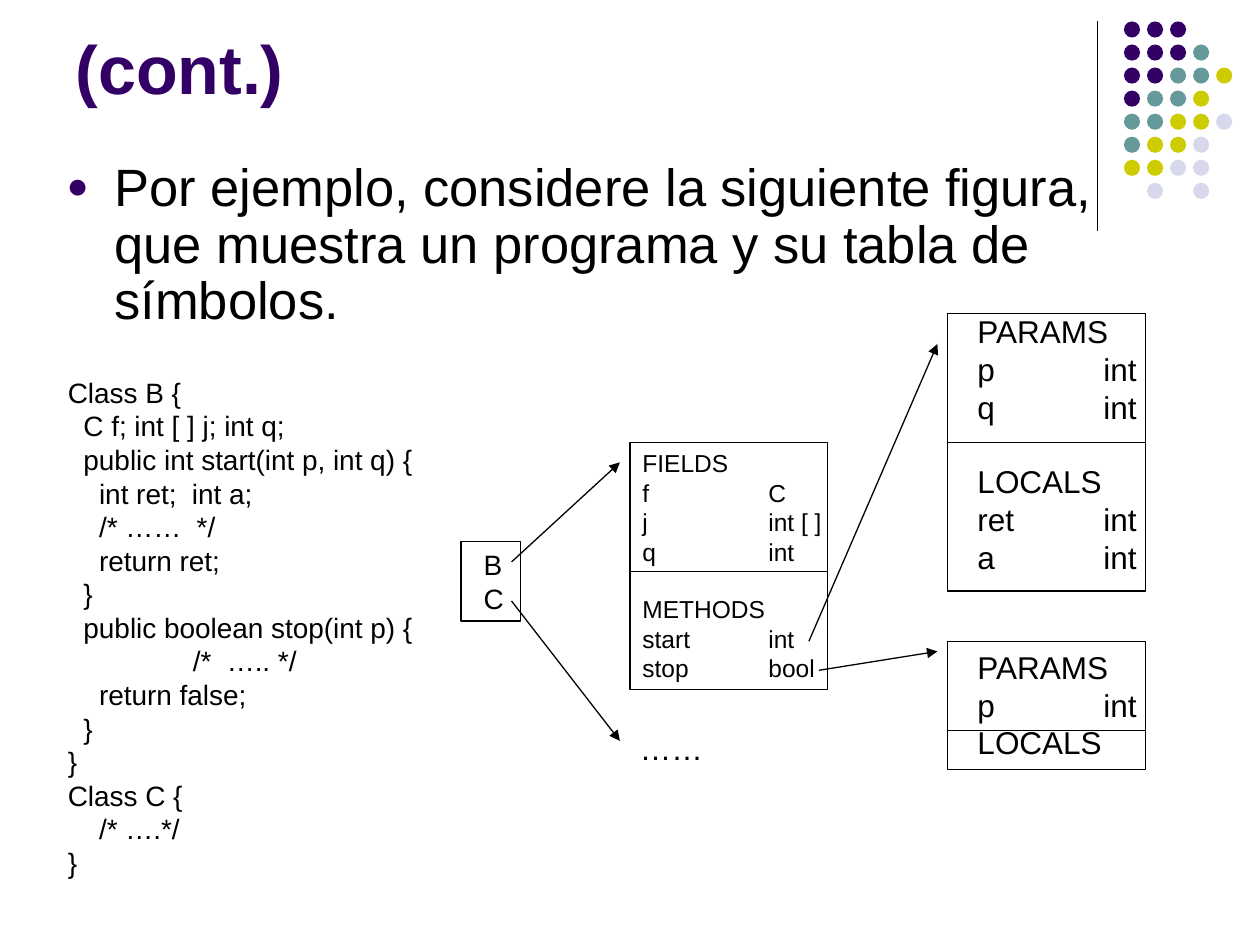
from dataclasses import dataclass
from typing import NamedTuple

from lxml.etree import SubElement
from pptx import Presentation
from pptx.dml.color import RGBColor
from pptx.enum.shapes import MSO_CONNECTOR as Connector, MSO_SHAPE as Shape
from pptx.enum.text import MSO_ANCHOR as Anchor
from pptx.oxml.ns import qn
from pptx.util import Inches, Pt


@dataclass(frozen=True)
class Theme:
    font: str = "Arial"
    ink: str = "000000"
    purple: str = "330066"
    teal: str = "669999"
    olive: str = "CCCC00"
    lilac: str = "D8D8EC"
    title: float = 39
    body: float = 30
    symbols: float = 18
    code: float = 16
    fields: float = 14
    rule: float = 0.75


class Area(NamedTuple):
    col: float
    row: float
    cols: float
    rows: float


class Line(NamedTuple):
    text: str
    level: int = 0
    blank_before: int = 0


class Label(NamedTuple):
    area: Area
    size: float
    lines: list[Line]


class Stack(NamedTuple):
    col: float
    row: float
    cols: float
    heights: list[float]


class Link(NamedTuple):
    start: tuple[float, float]
    end: tuple[float, float]
    arrow: bool = True


THEME = Theme()
SLIDE_WIDTH, SLIDE_HEIGHT = Inches(10), Inches(7.5)
GRID_COLUMNS, GRID_ROWS = 100, 75
LINE_HEIGHT = 1.15
LEVEL_INDENT = 1.24
TAB_STOP = 10

DOT_START, DOT_PITCH, DOT_SIZE = (89.2, 1.7), 1.83, 1.28
DOT_COLORS = {"P": THEME.purple, "T": THEME.teal, "O": THEME.olive, "L": THEME.lilac}
DOT_ROWS = ["PPP", "PPPT", "PPTTO", "PTTO", "TTOOL", "TOOL", "OOLL", " L L"]

STACKS = [
    Stack(36.6, 43, 4.7, [6.3]),
    Stack(50, 35.1, 15.7, [10.25, 9.4]),
    Stack(75.2, 24.9, 15.7, [10.2, 11.8]),
    Stack(75.2, 50.9, 15.7, [7.1, 3.1]),
]

LABELS = [
    Label(Area(4.4, 29.3, 31, 43.7), THEME.code, [
        Line("Class B {"),
        Line("C f; int [ ] j; int q;", 1),
        Line("public int start(int p, int q) {", 1),
        Line("int ret;  int a;", 2),
        Line("/* ……  */", 2),
        Line("return ret;", 2),
        Line("}", 1),
        Line("public boolean stop(int p) {", 1),
        Line("/*  ….. */", 8),
        Line("return false;", 2),
        Line("}", 1),
        Line("}"),
        Line("Class C {"),
        Line("/* ….*/", 2),
        Line("}"),
    ]),
    Label(Area(37.4, 43, 3.8, 6.4), THEME.code, [Line("B"), Line("C")]),
    Label(Area(50, 35.1, 17.5, 19.7), THEME.fields, [
        Line("FIELDS"),
        Line("f\tC"),
        Line("j\tint [ ]"),
        Line("q\tint"),
        Line("METHODS", blank_before=1),
        Line("start\tint"),
        Line("stop\tbool"),
    ]),
    Label(Area(76.6, 24.3, 16, 37), THEME.symbols, [
        Line("PARAMS"),
        Line("p\tint"),
        Line("q\tint"),
        Line("LOCALS", blank_before=1),
        Line("ret\tint"),
        Line("a\tint"),
        Line("PARAMS", blank_before=2),
        Line("p\tint"),
        Line("LOCALS"),
    ]),
    Label(Area(49.8, 57.4, 8, 4), THEME.symbols, [Line("……")]),
]

LINKS = [
    Link((87.1, 1.7), (87.1, 18.3), arrow=False),
    Link((40.6, 44.6), (49.2, 36.7)),
    Link((40.6, 47.7), (49.2, 58.8)),
    Link((64.2, 50.9), (74.4, 27.3)),
    Link((65, 53.2), (74.4, 51.7)),
]


def across(columns: float) -> int:
    return round(SLIDE_WIDTH * columns / GRID_COLUMNS)


def down(rows: float) -> int:
    return round(SLIDE_HEIGHT * rows / GRID_ROWS)


def place(area: Area) -> tuple[int, int, int, int]:
    return across(area.col), down(area.row), across(area.cols), down(area.rows)


def color(value: str) -> RGBColor:
    return RGBColor.from_string(value)


def add_text(page, label: Label, ink: str = THEME.ink, bold: bool = False):
    frame = page.shapes.add_textbox(*place(label.area)).text_frame
    frame.word_wrap = True
    for index, line in enumerate(label.lines):
        para = frame.add_paragraph() if index else frame.paragraphs[0]
        para.text = line.text
        para.font.name, para.font.size = THEME.font, Pt(label.size)
        para.font.bold, para.font.color.rgb = bold, color(ink)
        if line.blank_before:
            para.space_before = Pt(line.blank_before * label.size * LINE_HEIGHT)
        properties = para._p.get_or_add_pPr()
        if line.level:
            properties.set("marL", str(across(line.level * LEVEL_INDENT)))
        if "\t" in line.text:
            tabs = SubElement(properties, qn("a:tabLst"))
            SubElement(tabs, qn("a:tab"), pos=str(across(TAB_STOP)), algn="l")
    return frame


def add_bullet(para) -> None:
    para.line_spacing, para.space_before = 0.9, Pt(7.5)
    properties = para._p.get_or_add_pPr()
    properties.set("marL", str(across(3.8)))
    properties.set("indent", str(-across(3.8)))
    bullet_color = SubElement(properties, qn("a:buClr"))
    SubElement(bullet_color, qn("a:srgbClr"), val=THEME.purple)
    SubElement(properties, qn("a:buSzPct"), val="70000")
    SubElement(properties, qn("a:buFont"), typeface=THEME.font)
    SubElement(properties, qn("a:buChar"), char="●")


def add_dots(page) -> None:
    left, top = DOT_START
    for row, pattern in enumerate(DOT_ROWS):
        for col, key in enumerate(pattern):
            if key in DOT_COLORS:
                area = Area(left + col * DOT_PITCH, top + row * DOT_PITCH, DOT_SIZE, DOT_SIZE)
                dot = page.shapes.add_shape(Shape.OVAL, *place(area))
                dot.shadow.inherit = False
                dot.fill.solid()
                dot.fill.fore_color.rgb = color(DOT_COLORS[key])
                dot.line.fill.background()


def add_stack(page, stack: Stack) -> None:
    row = stack.row
    for height in stack.heights:
        box = page.shapes.add_shape(Shape.RECTANGLE, *place(Area(stack.col, row, stack.cols, height)))
        box.shadow.inherit = False
        box.fill.background()
        box.line.color.rgb, box.line.width = color(THEME.ink), Pt(THEME.rule)
        row += height


def add_link(page, link: Link) -> None:
    (x1, y1), (x2, y2) = link.start, link.end
    connector = page.shapes.add_connector(Connector.STRAIGHT, across(x1), down(y1), across(x2), down(y2))
    connector.line.color.rgb, connector.line.width = color(THEME.ink), Pt(THEME.rule)
    if link.arrow:
        SubElement(connector.line._get_or_add_ln(), qn("a:tailEnd"), type="triangle")
    SubElement(connector._element.spPr, qn("a:effectLst"))


def main() -> None:
    deck = Presentation()
    deck.slide_width, deck.slide_height = SLIDE_WIDTH, SLIDE_HEIGHT
    page = deck.slides.add_slide(deck.slide_layouts[6])
    add_dots(page)
    title = Label(Area(5, 1.3, 82.5, 7.8), THEME.title, [Line("(cont.)")])
    add_text(page, title, THEME.purple, bold=True).vertical_anchor = Anchor.BOTTOM
    body = Label(Area(4.3, 12.3, 90, 15.6), THEME.body, [
        Line("Por ejemplo, considere la siguiente figura, que muestra un programa y su tabla de símbolos."),
    ])
    add_bullet(add_text(page, body).paragraphs[0])
    for stack in STACKS:
        add_stack(page, stack)
    for label in LABELS:
        add_text(page, label)
    for link in LINKS:
        add_link(page, link)
    deck.save("out.pptx")


if __name__ == "__main__":
    main()
